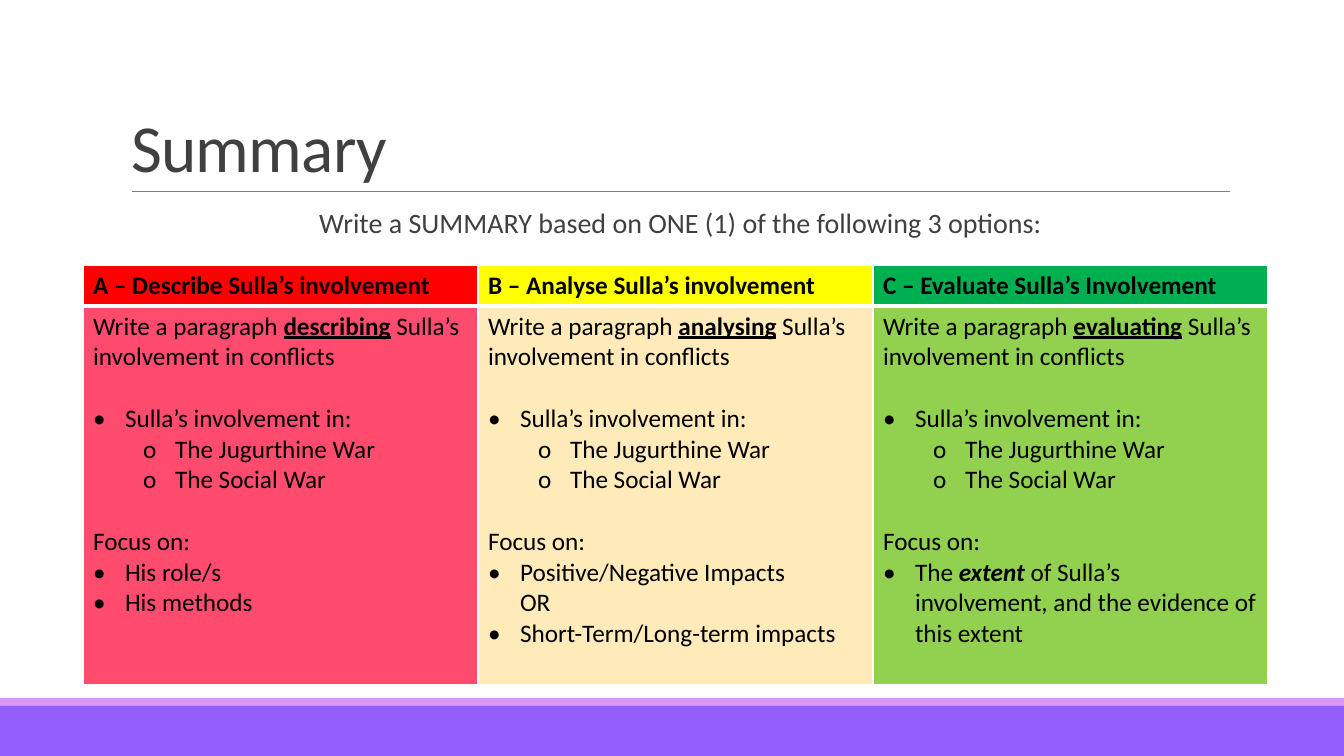
from lxml.etree import SubElement
from pptx import Presentation
from pptx.dml.color import RGBColor
from pptx.enum.shapes import MSO_CONNECTOR, MSO_SHAPE
from pptx.enum.text import MSO_ANCHOR, MSO_AUTO_SIZE, PP_ALIGN
from pptx.oxml.ns import qn
from pptx.util import Emu, Pt

SCALE = 914400 / 100.8
SLIDE_W, SLIDE_H = 1344, 756
BLANK_LINE = 22
EMPHASIS = dict(bold=True, underline=True)
STRONG_ITALIC = dict(bold=True, italic=True)
BULLETS = {1: ("•", 32, -32), 2: ("o", 82, -32)}

OPTIONS = [
    dict(heading="A – Describe Sulla’s involvement", verb="describing",
         header_fill="FF0000", body_fill="FF4C6E",
         focus=[[("His role/s", {})], [("His methods", {})]]),
    dict(heading="B – Analyse Sulla’s involvement", verb="analysing",
         header_fill="FFFF00", body_fill="FFEABA",
         focus=[[("Positive/Negative Impacts", {}), ("\n", {}), ("OR", {})],
                [("Short-Term/Long-term impacts", {})]]),
    dict(heading="C – Evaluate Sulla’s Involvement", verb="evaluating",
         header_fill="00B050", body_fill="92D050",
         focus=[[("The ", {}), ("extent", STRONG_ITALIC),
                 (" of Sulla’s involvement, and the evidence of this extent", {})]]),
]


def px(length):
    return Emu(round(length * SCALE))


def colour(code):
    return RGBColor.from_string(code)


def apply(target, values):
    for name, value in values.items():
        setattr(target, name, value)


def place(part, box):
    apply(part, dict(zip(("left", "top", "width", "height"), map(px, box))))


def write_runs(paragraph, runs, size, code):
    for text, emphasis in runs:
        if text == "\n":
            paragraph.add_line_break()
            continue
        run = paragraph.add_run()
        run.text = text
        apply(run.font, dict(size=Pt(size), name="Calibri", **emphasis))
        run.font.color.rgb = colour(code)


def indent(paragraph, left, first, bullet=None):
    properties = paragraph._p.get_or_add_pPr()
    properties.set("marL", str(px(left)))
    properties.set("indent", str(px(first)))
    if bullet:
        SubElement(properties, qn("a:buFont"), typeface="Calibri")
        SubElement(properties, qn("a:buChar"), char=bullet)
    else:
        SubElement(properties, qn("a:buNone"))


def add_title(slide, box):
    title = slide.shapes.title
    place(title, box)
    apply(title.text_frame, dict(vertical_anchor=MSO_ANCHOR.BOTTOM, word_wrap=True,
                                 auto_size=MSO_AUTO_SIZE.NONE))
    heading = title.text_frame.paragraphs[0]
    apply(heading, dict(alignment=PP_ALIGN.LEFT, line_spacing=0.85))
    write_runs(heading, [("Summary", {})], 48, "404040")
    heading.runs[0].font._element.set("spc", "-50")


def add_instruction(slide, box):
    body = slide.placeholders[1]
    place(body, box)
    apply(body.text_frame, dict(margin_left=0, margin_right=0, word_wrap=True,
                                vertical_anchor=MSO_ANCHOR.TOP,
                                auto_size=MSO_AUTO_SIZE.NONE))
    instruction = body.text_frame.paragraphs[0]
    indent(instruction, 10, 0)
    apply(instruction, dict(alignment=PP_ALIGN.CENTER, line_spacing=0.9,
                            space_before=Pt(0), space_after=Pt(2)))
    write_runs(instruction,
               [("Write a SUMMARY based on ONE (1) of the following 3 options:", {})],
               20, "404040")


def add_rule(slide, left, top, width):
    rule = slide.shapes.add_connector(MSO_CONNECTOR.STRAIGHT, px(left), px(top),
                                      px(left + width), px(top))
    rule.line.color.rgb = colour("808080")
    rule.line.width = Pt(0.5)
    SubElement(rule._element.spPr, qn("a:effectLst"))


def add_footer(slide, box):
    left, top, width, height = box
    accent = 8
    bands = [(top, accent, "DA97FB"), (top + accent, height - accent, "925FFD")]
    for band_top, band_height, code in bands:
        band = slide.shapes.add_shape(MSO_SHAPE.RECTANGLE, px(left), px(band_top),
                                      px(width), px(band_height))
        band.shadow.inherit = False
        band.fill.solid()
        band.fill.fore_color.rgb = colour(code)
        band.line.fill.background()


def style_cell(cell, code, top, bottom):
    properties = cell._tc.get_or_add_tcPr()
    for side, width in dict(lnL=1, lnR=1, lnT=top, lnB=bottom).items():
        border = SubElement(properties, qn(f"a:{side}"), w=str(Pt(width)))
        line_fill = SubElement(border, qn("a:solidFill"))
        SubElement(line_fill, qn("a:srgbClr"), val="FFFFFF")
    cell.fill.solid()
    cell.fill.fore_color.rgb = colour(code)


def task_paragraphs(option):
    yield 0, 0, [("Write a paragraph ", {}), (option["verb"], EMPHASIS),
                 (" Sulla’s involvement in conflicts", {})]
    yield 1, BLANK_LINE, [("Sulla’s involvement in:", {})]
    for war in ("The Jugurthine War", "The Social War"):
        yield 2, 0, [(war, {})]
    yield 0, BLANK_LINE, [("Focus on:", {})]
    for point in option["focus"]:
        yield 1, 0, point


def fill_task(cell, option):
    frame = cell.text_frame
    for number, (depth, gap, runs) in enumerate(task_paragraphs(option)):
        paragraph = frame.add_paragraph() if number else frame.paragraphs[0]
        if depth:
            bullet, left, first = BULLETS[depth]
            indent(paragraph, left, first, bullet)
            paragraph.level = depth - 1
        if gap:
            paragraph.space_before = Pt(gap)
        write_runs(paragraph, runs, 18, "000000")


def add_options(slide, box):
    left, top, width, height = box
    header_height = 41
    table = slide.shapes.add_table(2, len(OPTIONS), px(left), px(top),
                                   px(width), px(height)).table
    apply(table, dict(first_row=False, horz_banding=False))
    table.rows[0].height = px(header_height)
    table.rows[1].height = px(height - header_height)
    for column, option in enumerate(OPTIONS):
        table.columns[column].width = px(width / len(OPTIONS))
        header, task = table.cell(0, column), table.cell(1, column)
        style_cell(header, option["header_fill"], 1, 3)
        style_cell(task, option["body_fill"], 3, 1)
        write_runs(header.text_frame.paragraphs[0],
                   [(option["heading"], dict(bold=True))], 18, "000000")
        fill_task(task, option)


def main():
    deck = Presentation()
    apply(deck, dict(slide_width=px(SLIDE_W), slide_height=px(SLIDE_H)))
    slide = deck.slides.add_slide(deck.slide_layouts[1])
    add_footer(slide, (0, 698, SLIDE_W, 58))
    add_rule(slide, 132, 191, 1098)
    add_title(slide, (121, 31, 1109, 160))
    add_instruction(slide, (121, 204, 1109, 40))
    add_options(slide, (83, 265, 1185, 420))
    deck.save("out.pptx")


if __name__ == "__main__":
    main()
